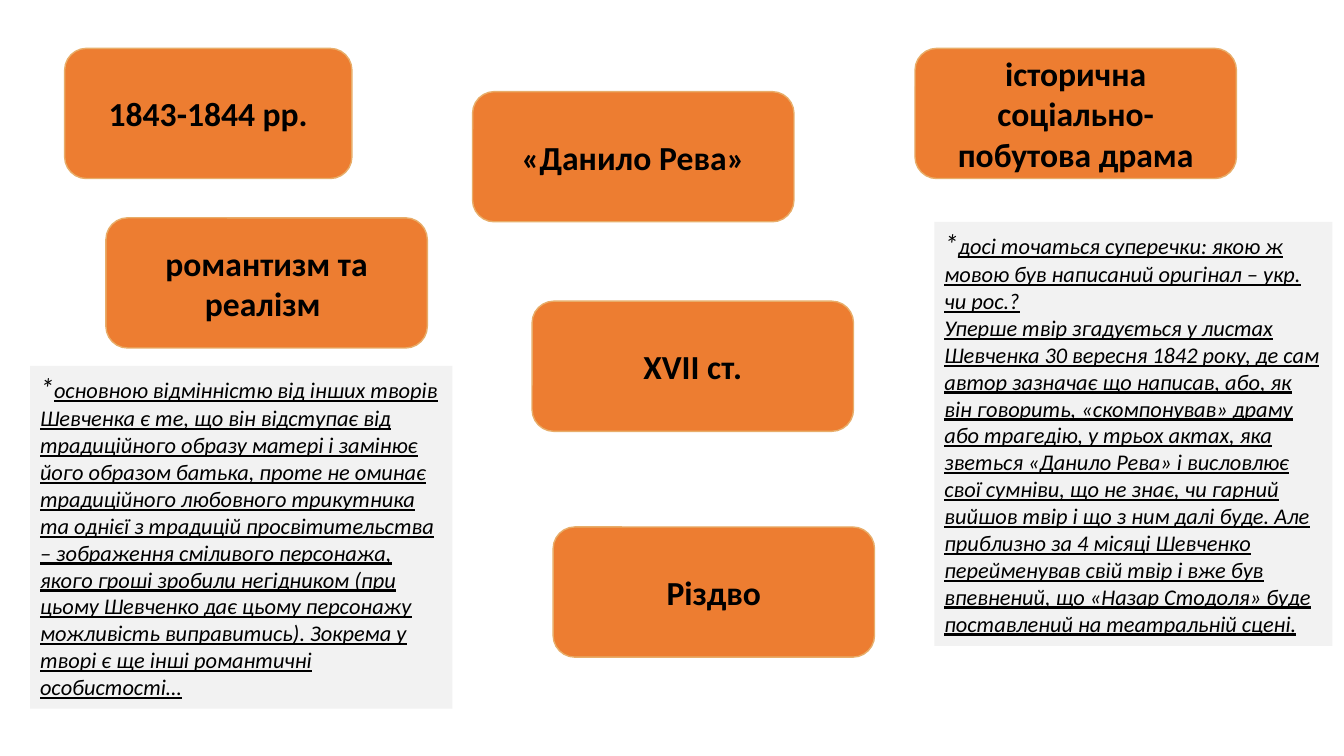
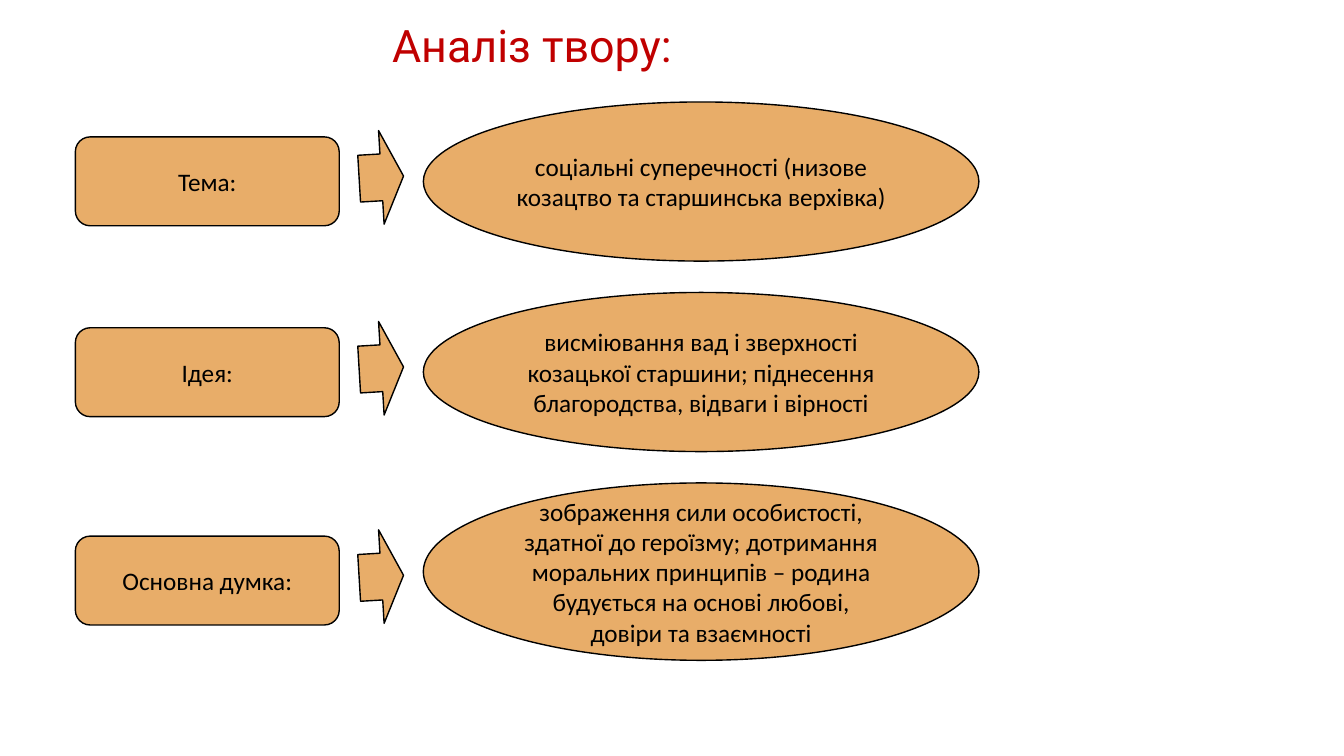
from pptx import Presentation
from pptx.dml.color import RGBColor
from pptx.enum.shapes import MSO_SHAPE
from pptx.enum.text import MSO_ANCHOR, MSO_AUTO_SIZE, PP_ALIGN
from pptx.util import Cm, Pt

ROUND, RECT = MSO_SHAPE.ROUNDED_RECTANGLE, MSO_SHAPE.RECTANGLE
OVAL, ARROW = MSO_SHAPE.OVAL, MSO_SHAPE.UP_ARROW
TOP, MIDDLE = MSO_ANCHOR.TOP, MSO_ANCHOR.MIDDLE
LEFT, CENTER = PP_ALIGN.LEFT, PP_ALIGN.CENTER
GROW = MSO_AUTO_SIZE.SHAPE_TO_FIT_TEXT

ORANGE = RGBColor(0xED, 0x7D, 0x31)
SAND = RGBColor(0xE8, 0xAD, 0x69)
GRAY = RGBColor(0xF2, 0xF2, 0xF2)
BLACK = RGBColor(0, 0, 0)
RED = RGBColor(0xC0, 0, 0)

HEAD = {"name": "Roboto", "size": Pt(32), "color": RED}
BODY = {"name": "Calibri", "size": Pt(18), "color": BLACK}
BOLD = BODY | {"size": Pt(24), "bold": True}
STAR = BODY | {"size": Pt(20), "italic": True}
NOTE = BODY | {"size": Pt(16), "italic": True, "underline": True}


class Deck:
    def __init__(self):
        self.show = Presentation()
        self.show.slide_width, self.show.slide_height = Cm(33.87), Cm(19.05)
        self.slide = None

    def page(self):
        self.slide = self.show.slides.add_slide(self.show.slide_layouts[6])

    def words(self, para, text, style):
        run = para.add_run()
        run.text = text
        for key, value in style.items():
            if key == "color":
                run.font.color.rgb = value
            else:
                setattr(run.font, key, value)

    def shape(self, kind, box, fill, line=None):
        form = self.slide.shapes.add_shape(kind, *map(Cm, box))
        form.shadow.inherit = False
        form.fill.solid()
        form.fill.fore_color.rgb = fill
        if line is None:
            form.line.fill.background()
        else:
            form.line.color.rgb = line
            form.line.width = Pt(1)
        return form

    def label(self, kind, box, text, fill, line, style):
        frame = self.shape(kind, box, fill, line).text_frame
        frame.word_wrap = True
        frame.vertical_anchor = MIDDLE
        para = frame.paragraphs[0]
        para.alignment = CENTER
        self.words(para, text, style)

    def card(self, left, top, text, width=8.1):
        self.label(ROUND, (left, top, width, 3.28), text, ORANGE, SAND, BOLD)

    def note(self, box, *texts):
        frame = self.shape(RECT, box, GRAY).text_frame
        frame.word_wrap = True
        frame.auto_size = GROW
        frame.vertical_anchor = TOP
        for spot, text in enumerate(texts):
            para = frame.add_paragraph() if spot else frame.paragraphs[0]
            para.alignment = LEFT
            if not spot:
                self.words(para, "*", STAR)
            self.words(para, text, NOTE)

    def title(self, box, text):
        frame = self.slide.shapes.add_textbox(*map(Cm, box)).text_frame
        frame.word_wrap = True
        frame.auto_size = GROW
        self.words(frame.paragraphs[0], text, HEAD)

    def row(self, top, name, text, start, height):
        self.label(ROUND, (1.9, top, 6.65, 2.24), name, SAND, BLACK, BODY)
        arrow = self.shape(ARROW, (8.43, top + 0.46, 2.36, 1.12), SAND, BLACK)
        arrow.rotation = 86.6
        self.label(OVAL, (10.67, start, 14, height), text, SAND, BLACK, BODY)


def main():
    deck = Deck()

    deck.page()
    deck.card(1.63, 1.22, "1843-1844 рр.", 7.24)
    deck.card(23.06, 1.22, "історична соціально-побутова драма")
    deck.note(
        (23.55, 5.59, 10.03, 10.69),
        "досі точаться суперечки: якою ж мовою був написаний оригінал – укр. чи рос.?",
        "Уперше твір згадується у листах Шевченка 30 вересня 1842 року, де сам автор "
        "зазначає що написав, або, як він говорить, «скомпонував» драму або трагедію, "
        "у трьох актах, яка зветься «Данило Рева» і висловлює свої сумніви, що не знає, "
        "чи гарний вийшов твір і що з ним далі буде. Але приблизно за 4 місяці Шевченко "
        "перейменував свій твір і вже був впевнений, що «Назар Стодоля» буде поставлений "
        "на театральній сцені.",
    )
    deck.card(11.91, 2.31, "«Данило Рева»")
    deck.card(2.67, 5.49, "романтизм та реалізм ")
    deck.note(
        (0.76, 9.22, 10.64, 8.64),
        "основною відмінністю від інших творів Шевченка є те, що він відступає від "
        "традиційного образу матері і замінює його образом батька, проте не оминає "
        "традиційного любовного трикутника та однієї з традицій просвітительства – "
        "зображення сміливого персонажа, якого гроші зробили негідником (при цьому "
        "Шевченко дає цьому персонажу можливість виправитись). Зокрема у творі є ще "
        "інші романтичні особистості…",
    )
    deck.card(13.41, 7.59, "XVII ст.")
    deck.card(13.94, 13.28, "Різдво")

    deck.page()
    deck.title((9.63, 0.33, 12.37, 1.63), "Аналіз твору:")
    rows = (
        (3.45, "Тема:", "соціальні суперечності (низове козацтво та старшинська верхівка)", 4.01),
        (8.26, "Ідея:", "висміювання вад і зверхності козацької старшини; "
         "піднесення благородства, відваги і вірності", 4.01),
        (13.51, "Основна думка:", "зображення сили особистості, здатної до героїзму; "
         "дотримання моральних принципів – родина будується на основі любові, "
         "довіри та взаємності", 4.47),
    )
    for spot, (top, name, text, height) in enumerate(rows):
        deck.row(top, name, text, 2.57 + 4.8 * spot, height)

    deck.show.save("out.pptx")


if __name__ == "__main__":
    main()
